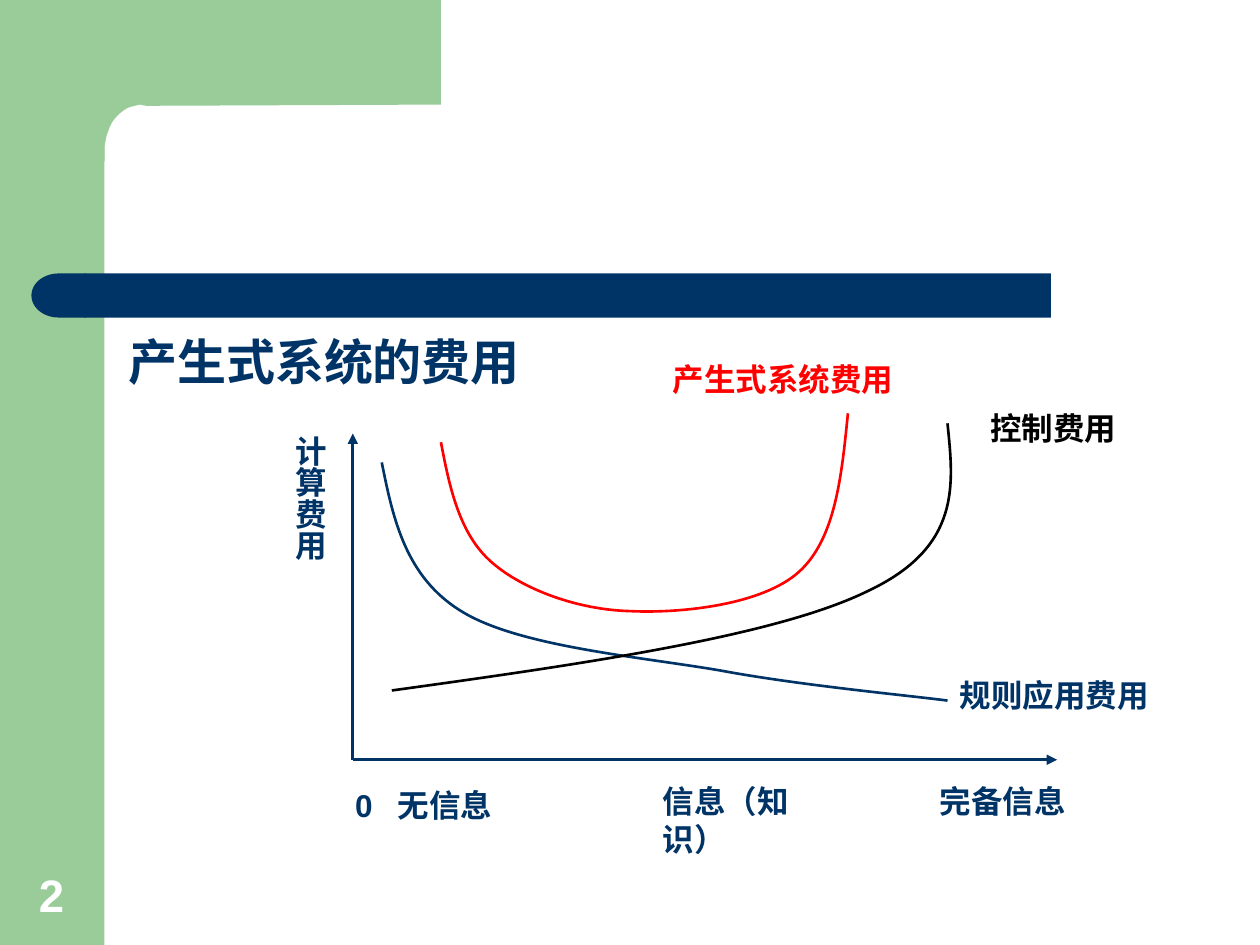
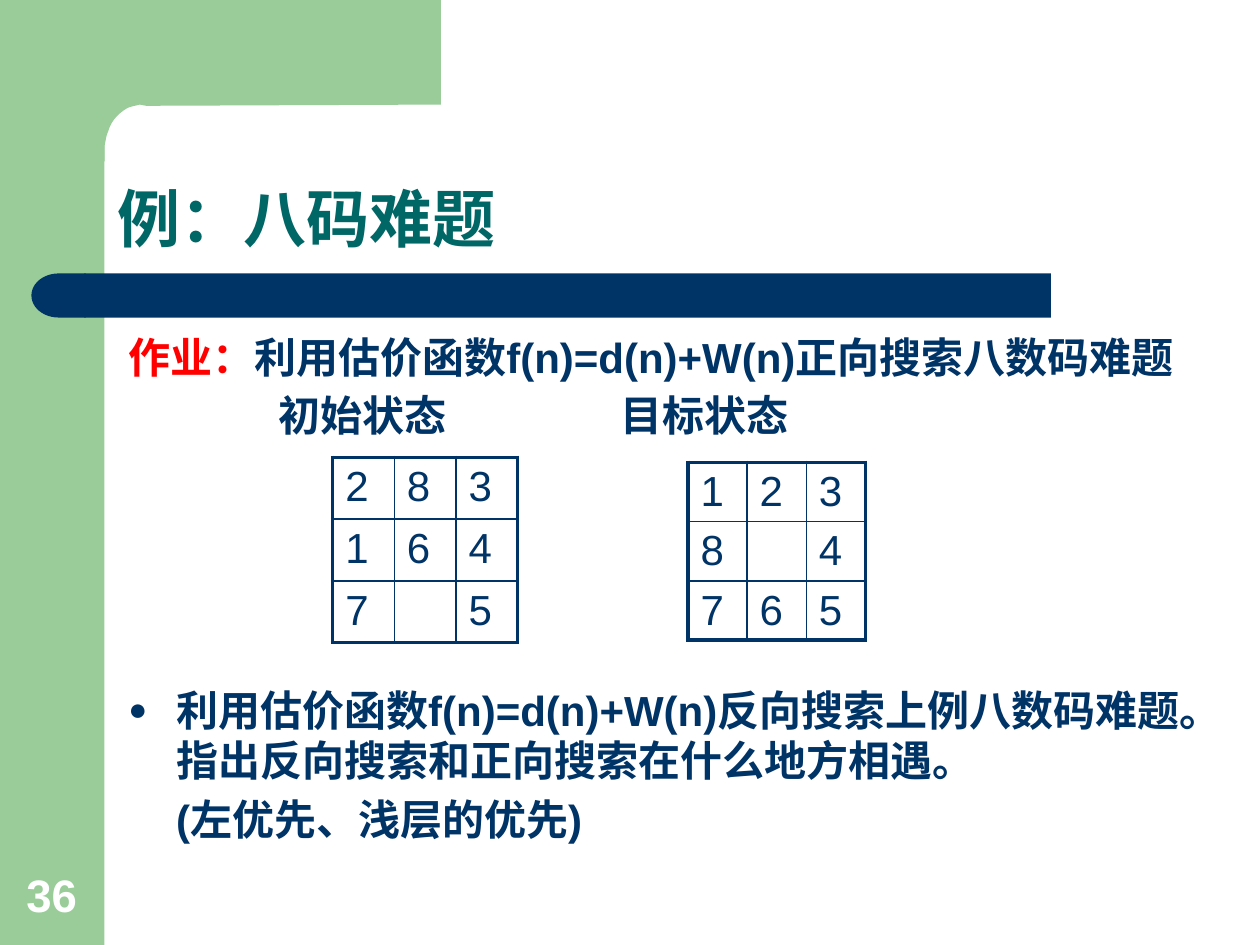
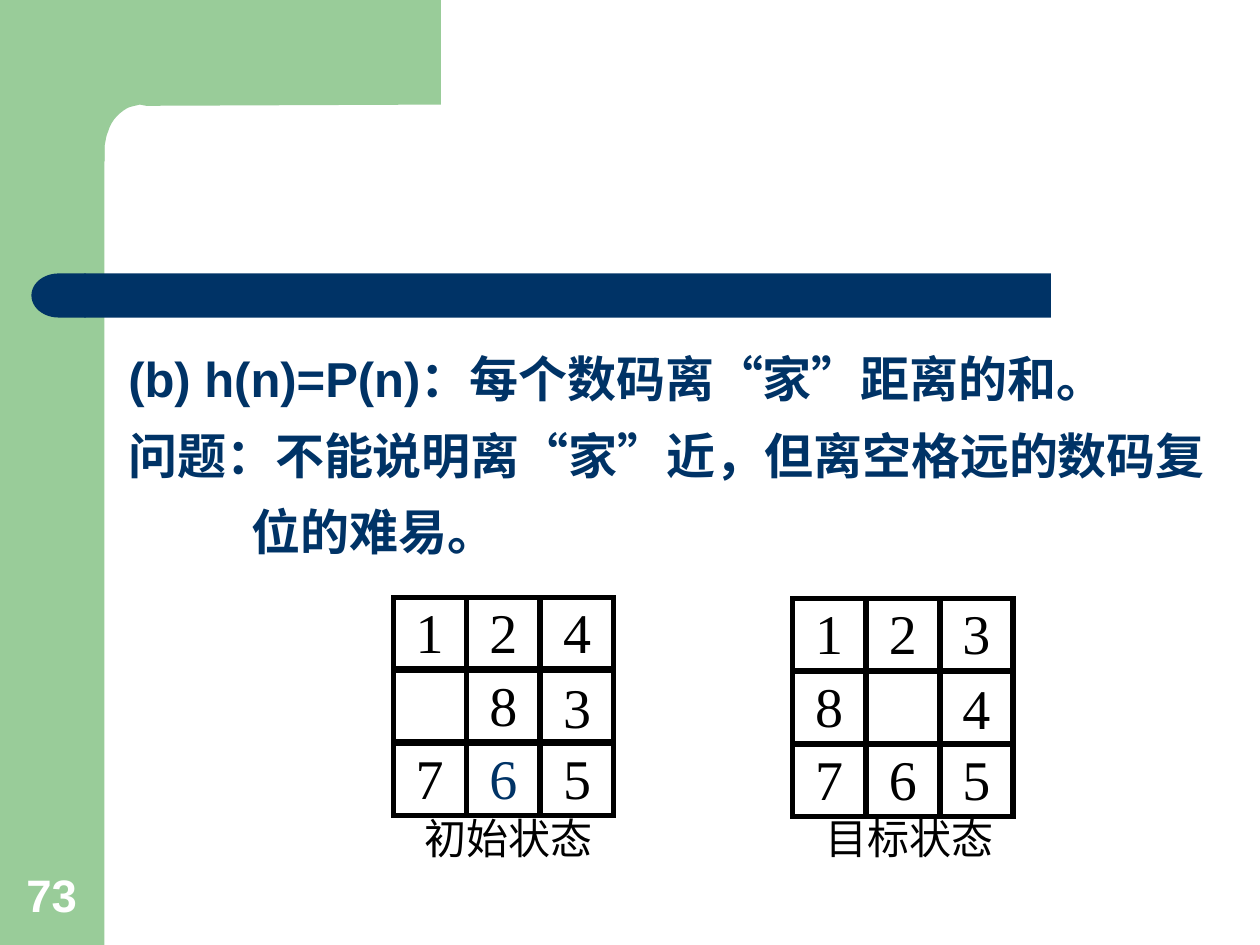
from dataclasses import dataclass
from itertools import product

from lxml.etree import SubElement
from pptx import Presentation
from pptx.dml.color import RGBColor
from pptx.enum.shapes import MSO_CONNECTOR, MSO_SHAPE as SHAPE
from pptx.enum.text import MSO_ANCHOR as ANCHOR, PP_ALIGN as ALIGN
from pptx.oxml.ns import qn
from pptx.util import Inches, Pt

NAVY, GREEN, TEAL = "003366", "99CC99", "006666"
RED, BLACK, WHITE = "FF0000", "000000", "FFFFFF"
Point = tuple[float, float]
Piece = tuple[Point, ...]
Box = tuple[float, float, float, float]


@dataclass
class Run:
    text: str
    color: str = NAVY
    size: float = 24
    font: str = "Arial"
    bold: bool = True


@dataclass
class Para:
    runs: list[Run]
    align: ALIGN = ALIGN.LEFT
    left: float = 0
    hang: float = 0
    before: float = 0
    spacing: float | None = None
    bullet: bool = False


@dataclass
class Label:
    text: str
    box: Box
    color: str = NAVY
    size: float = 18
    font: str = "Arial"
    bold: bool = True
    align: ALIGN = ALIGN.LEFT
    vertical: bool = False


@dataclass
class Curve:
    color: str
    start: Point
    pieces: list[Piece]


@dataclass
class Grid:
    rows: list[str]
    left: float
    top: float
    width: float
    height: float
    accent: str = ""


COST_LABELS = [
    Label("信息（知识）", (5.16, 6.16, 1.65, 0.4)),
    Label("完备信息", (7.36, 6.16, 1.65, 0.4)),
    Label("0", (2.72, 6.19, 0.4, 0.4)),
    Label("无信息", (3.06, 6.19, 1, 0.4)),
    Label("计算费用", (2.16, 3.36, 0.5, 1.26), vertical=True),
    Label("控制费用", (7.76, 3.2, 1.34, 0.4), BLACK),
    Label("规则应用费用", (7.52, 5.32, 1.81, 0.4)),
    Label("产生式系统费用", (5.24, 2.81, 2.2, 0.4), RED),
]
STATE_LABELS = [
    Label("初始状态", (2.11, 3.04, 1.8, 0.5), size=24),
    Label("目标状态", (4.83, 3.04, 1.8, 0.5), size=24),
]
TILE_LABELS = [
    Label("初始状态", (3.12, 6.4, 1.83, 0.5), BLACK, 24, "Comic Neue", False, ALIGN.CENTER),
    Label("目标状态", (6.38, 6.4, 1.67, 0.5), BLACK, 24, "Comic Neue", False, ALIGN.CENTER),
]
CURVES = [
    Curve(NAVY, (3.03, 3.67), [
        ((3.12, 4.12), (3.22, 4.58), (3.66, 4.85)),
        ((4.11, 5.13), (5.06, 5.21), (5.71, 5.32)),
        ((6.35, 5.44), (7.22, 5.52), (7.52, 5.56))]),
    Curve(BLACK, (7.52, 3.36), [
        ((7.57, 3.85), (7.63, 4.34), (6.89, 4.69)),
        ((6.16, 5.05), (4.63, 5.27), (3.11, 5.48))]),
    Curve(RED, (3.5, 3.51), [
        ((3.57, 3.88), (3.65, 4.24), (3.9, 4.46)),
        ((4.15, 4.68), (4.59, 4.84), (5, 4.85)),
        ((5.41, 4.87), (6.05, 4.8), (6.34, 4.54)),
        ((6.63, 4.28), (6.68, 3.78), (6.73, 3.28))]),
]
CORNER = Curve(GREEN, (3.5, 0), [
    ((3.5, 0.83),), ((1.16, 0.84),), ((1.11, 0.83),), ((1.03, 0.85),),
    ((1, 0.86), (0.96, 0.89), (0.93, 0.92)),
    ((0.9, 0.95), (0.87, 1), (0.86, 1.04)),
    ((0.84, 1.08), (0.84, 1.12), (0.83, 1.16)),
    ((0.83, 1.28),), ((0.5, 1.28),), ((0.5, 0.83),), ((0.5, 0),)])
TABLES = [
    Grid(["283", "164", "7 5"], 2.64, 3.63, 0.49, 0.49),
    Grid(["123", "8 4", "765"], 5.46, 3.67, 0.47, 0.47),
]
TILES = [
    Grid(["124", " 83", "765"], 3.12, 4.74, 0.58, 0.57, accent="6"),
    Grid(["123", "8 4", "765"], 6.29, 4.75, 0.58, 0.57),
]


def rgb(color: str) -> RGBColor:
    return RGBColor.from_string(color)


def place(box: Box) -> list[int]:
    return [Inches(v) for v in box]


def style(sp, fill: str | None = None, line: str | None = None, width: float = 1.5) -> None:
    sp.shadow.inherit = False
    if fill:
        sp.fill.solid()
        sp.fill.fore_color.rgb = rgb(fill)
    else:
        sp.fill.background()
    if line:
        sp.line.color.rgb = rgb(line)
        sp.line.width = Pt(width)
        SubElement(sp.line._get_or_add_ln(), qn("a:miter"), lim="800000")
    else:
        sp.line.fill.background()


def write(tf, paras: list[Para]) -> None:
    for i, para in enumerate(paras):
        p = tf.add_paragraph() if i else tf.paragraphs[0]
        p.alignment = para.align
        p.space_before = Pt(para.before)
        if para.spacing:
            p.line_spacing = para.spacing
        props = p._p.get_or_add_pPr()
        props.set("marL", str(Inches(para.left)))
        props.set("indent", str(Inches(-para.hang)))
        if para.bullet:
            SubElement(props, qn("a:buSzPct"), val="75000")
            SubElement(props, qn("a:buFont"), typeface="Arial")
            SubElement(props, qn("a:buChar"), char="●")
        for run in para.runs:
            r = p.add_run()
            r.text = run.text
            r.font.name, r.font.size, r.font.bold = run.font, Pt(run.size), run.bold
            r.font.color.rgb = rgb(run.color)


def add_text(s, box: Box, paras: list[Para], anchor: ANCHOR = ANCHOR.TOP):
    tf = s.shapes.add_textbox(*place(box)).text_frame
    tf.word_wrap = True
    tf.vertical_anchor = anchor
    write(tf, paras)
    return tf


def add_outline(s, curve: Curve, close: bool = False):
    points = [(Inches(x), Inches(y)) for piece in curve.pieces for x, y in piece]
    builder = s.shapes.build_freeform(*(Inches(v) for v in curve.start))
    builder.add_line_segments(points, close=close)
    sp = builder.convert_to_shape()
    lines = iter(list(sp._element.iter(qn("a:lnTo"))))
    for piece in curve.pieces:
        first, *others = [next(lines) for _ in piece]
        if others:
            first.tag = qn("a:cubicBezTo")
            for other in others:
                first.append(other[0])
                other.getparent().remove(other)
    return sp


def add_arrow(s, start: Point, end: Point) -> None:
    c = s.shapes.add_connector(MSO_CONNECTOR.STRAIGHT, *place(start + end))
    c.line.color.rgb = rgb(NAVY)
    c.line.width = Pt(1.5)
    SubElement(c.line._get_or_add_ln(), qn("a:tailEnd"), type="triangle")
    SubElement(c._element.spPr, qn("a:effectLst"))


def add_labels(s, labels: list[Label]) -> None:
    for label in labels:
        run = Run(label.text, label.color, label.size, label.font, label.bold)
        tf = add_text(s, label.box, [Para([run], label.align)])
        if label.vertical:
            tf._txBody.bodyPr.set("vert", "eaVert")


def set_borders(cell, widths: dict[str, float]) -> None:
    props = cell._tc.get_or_add_tcPr()
    for i, (side, width) in enumerate(widths.items()):
        ln = props.makeelement(qn(f"a:ln{side}"), {"w": str(Pt(width))})
        SubElement(SubElement(ln, qn("a:solidFill")), qn("a:srgbClr"), val=NAVY)
        props.insert(i, ln)


def add_puzzle_table(s, grid: Grid) -> None:
    n = len(grid.rows)
    box = (grid.left, grid.top, grid.width * n, grid.height * n)
    table = s.shapes.add_table(n, n, *place(box)).table
    table.first_row = table.horz_banding = False
    for i in range(n):
        table.columns[i].width = Inches(grid.width)
        table.rows[i].height = Inches(grid.height)
    for row, col in product(range(n), repeat=2):
        cell = table.cell(row, col)
        cell.fill.background()
        cell.margin_bottom = Inches(0.02)
        digit = grid.rows[row][col].strip()
        write(cell.text_frame, [Para([Run(digit, bold=False)] if digit else [])])
        edges = {"L": col == 0, "R": col == n - 1, "T": row == 0, "B": row == n - 1}
        set_borders(cell, {k: 2.25 if outer else 1 for k, outer in edges.items()})


def add_puzzle_tiles(s, grid: Grid) -> None:
    for row, col in product(range(len(grid.rows)), repeat=2):
        left = grid.left + col * 1.17 / 2
        top = grid.top + row * 0.58
        sp = s.shapes.add_shape(SHAPE.RECTANGLE, *place((left, top, grid.width, grid.height)))
        style(sp, line=BLACK, width=3)
        digit = grid.rows[row][col].strip()
        if not digit:
            continue
        tf = sp.text_frame
        tf.margin_left = tf.margin_right = tf.margin_top = tf.margin_bottom = 0
        tf.vertical_anchor = ANCHOR.MIDDLE if (row, col) == (1, 2) else ANCHOR.TOP
        color = NAVY if digit == grid.accent else BLACK
        write(tf, [Para([Run(digit, color, 32, "Times New Roman", False)], ALIGN.CENTER)])


def add_title(s, title: str) -> None:
    sp = s.shapes.add_shape(SHAPE.ROUNDED_RECTANGLE, *place((0.83, 0.83, 8.67, 1.25)))
    sp.adjustments[0] = 0.217
    style(sp)
    tf = sp.text_frame
    tf.margin_left, tf.margin_bottom = Inches(0.02), Inches(-0.03)
    tf.vertical_anchor = ANCHOR.BOTTOM
    write(tf, [Para([Run(title, TEAL, 36)], spacing=0.9)])


def add_slide(prs, number: int):
    s = prs.slides.add_slide(prs.slide_layouts[6])
    style(s.shapes.add_shape(SHAPE.RECTANGLE, *place((0, 0, 0.83, 7.5))), GREEN)
    style(add_outline(s, CORNER, True), CORNER.color)
    band = s.shapes.add_shape(SHAPE.ROUNDED_RECTANGLE, *place((0.67, 2.17, 7.67, 0.35)))
    band.adjustments[0] = 0
    style(band, NAVY)
    cap = s.shapes.add_shape(SHAPE.FLOWCHART_DELAY, *place((0.25, 2.17, 0.43, 0.35)))
    style(cap, NAVY)
    cap._element.spPr.find(qn("a:xfrm")).set("flipH", "1")
    add_text(s, (0.09, 6.83, 0.64, 0.53),
             [Para([Run(str(number), WHITE, 26)], ALIGN.CENTER)], ANCHOR.BOTTOM)
    return s


def cost_slide(prs) -> None:
    s = add_slide(prs, 2)
    add_text(s, (0.92, 2.58, 8.41, 4.07), [Para([Run("产生式系统的费用", size=28)])])
    origin = (2.8, 6.03)
    for end in ((8.39, 6.03), (2.8, 3.44)):
        add_arrow(s, origin, end)
    for curve in CURVES:
        style(add_outline(s, curve), line=curve.color)
    add_labels(s, COST_LABELS)


def homework_slide(prs) -> None:
    s = add_slide(prs, 36)
    add_title(s, "例：八码难题")
    add_text(s, (0.92, 2.58, 8.99, 4.92), [
        Para([Run("作业：", RED), Run("利用估价函数f(n)=d(n)+W(n)正向搜索八数码难题")],
             left=0.38, hang=0.38),
        Para([Run("利用估价函数f(n)=d(n)+W(n)反向搜索上例八数码难题。"
                  "指出反向搜索和正向搜索在什么地方相遇。")],
             left=0.38, hang=0.38, before=173, bullet=True),
        Para([Run("(左优先、浅层的优先)")], left=0.38, before=4.8),
    ])
    add_labels(s, STATE_LABELS)
    for grid in TABLES:
        add_puzzle_table(s, grid)


def distance_slide(prs) -> None:
    s = add_slide(prs, 73)
    lines = [("(b) h(n)=P(n)：每个数码离“家”距离的和。", 0),
             ("问题：不能说明离“家”近，但离空格远的数码复", 0),
             ("位的难易。", 0.98)]
    add_text(s, (0.92, 2.58, 8.89, 4.07),
             [Para([Run(text, size=28)], left=left, spacing=1.3) for text, left in lines])
    for grid in TILES:
        add_puzzle_tiles(s, grid)
    add_labels(s, TILE_LABELS)


def main() -> None:
    prs = Presentation()
    prs.slide_width, prs.slide_height = Inches(10), Inches(7.5)
    cost_slide(prs)
    homework_slide(prs)
    distance_slide(prs)
    prs.save("out.pptx")


if __name__ == "__main__":
    main()
